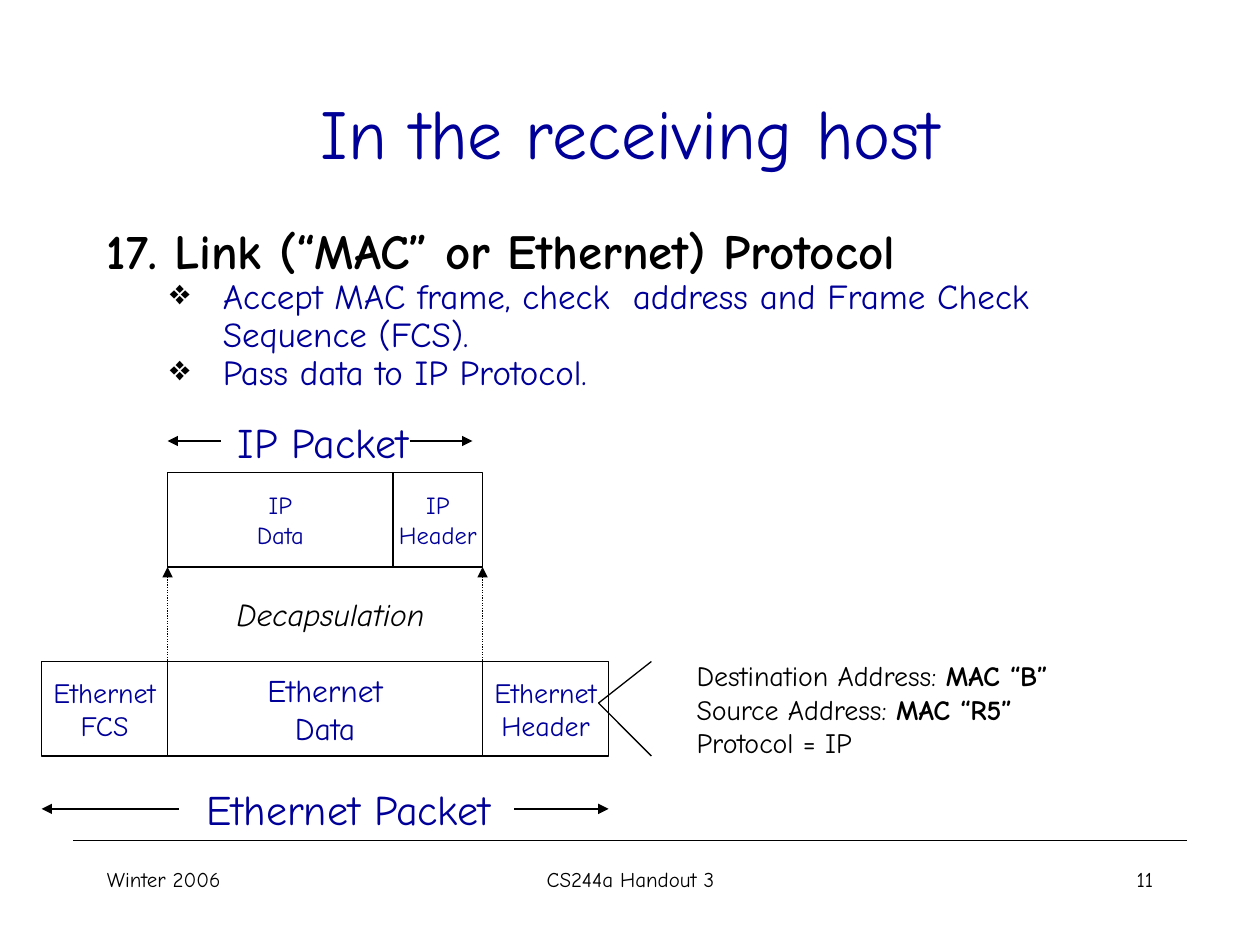
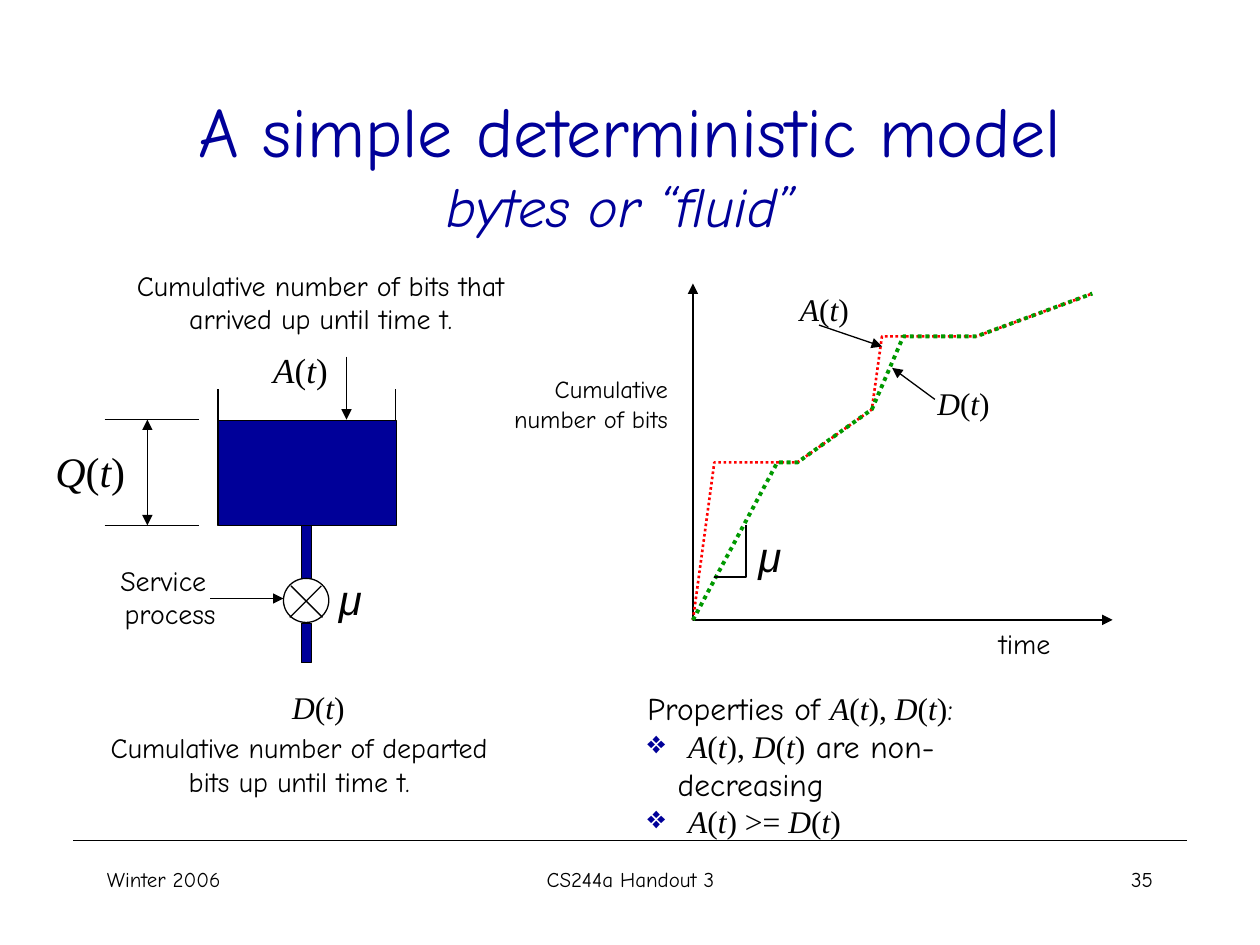
"""Builds two lecture slides: decapsulation in a host and a fluid queue model."""
from dataclasses import dataclass
from typing import NamedTuple

from lxml import etree
from pptx import Presentation
from pptx import util as u
from pptx.dml.color import RGBColor
from pptx.enum import dml, shapes, text
from pptx.oxml import ns

NAVY, BLACK, WHITE, RED, GREEN = "000099", "000000", "FFFFFF", "FF0000", "009900"
COMIC, TIMES, ARIAL = "Comic Neue", "Times New Roman", "Arial"
LEFT, CENTER, RIGHT = text.PP_ALIGN.LEFT, text.PP_ALIGN.CENTER, text.PP_ALIGN.RIGHT
THIN = 0.75


class Run(NamedTuple):
    """A piece of text with the font values that differ from its label."""
    text: str
    font: dict = {}


class Bullet(NamedTuple):
    """Bullet colour, left margin and hanging indent in inches."""
    color: str
    margin: float
    hanging: float


class Line(NamedTuple):
    """One paragraph."""
    runs: list
    bullet: Bullet | None = None


@dataclass
class Label:
    """A text box; lines are strings or Line objects."""
    area: tuple
    lines: list
    size: float
    color: str = BLACK
    font: str = COMIC
    align: text.PP_ALIGN = LEFT
    wrap: bool = False
    italic: bool = False
    spacing: float = 1.0


@dataclass
class Box:
    """A preset shape, with centred text if it has lines."""
    area: tuple
    fill: str | None = WHITE
    lines: tuple = ()
    size: float = 16
    kind: shapes.MSO_SHAPE = shapes.MSO_SHAPE.RECTANGLE


@dataclass
class Stroke:
    """A line through points: a connector for two, an open outline for more."""
    points: list
    head: bool = False
    tail: bool = False
    color: str = BLACK
    width: float = THIN
    dotted: bool = False


def color_of(value: str) -> RGBColor:
    """Turn a hex string into a colour."""
    return RGBColor.from_string(value)


def inches(values) -> list:
    """Turn numbers into lengths."""
    return [u.Inches(value) for value in values]


def set_values(target, values: dict) -> None:
    """Set each named attribute of the target."""
    for name, value in values.items():
        setattr(target, name, value)


def function_of(name: str, end: str = ")") -> list:
    """Runs for a function of t, such as A(t)."""
    return [Run(part, {"name": TIMES, "italic": slanted}) for part, slanted in
            ((name, True), ("(", False), ("t", True), (end, False))]


def add_run(paragraph, content: str, color: str, **font_values) -> None:
    """Add a formatted run."""
    run = paragraph.add_run()
    run.text = content
    run.font.color.rgb = color_of(color)
    set_values(run.font, font_values)


def add_bullet(paragraph, bullet: Bullet) -> None:
    """Give a paragraph a diamond bullet of the text size."""
    properties = paragraph._p.get_or_add_pPr()
    properties.set("marL", str(u.Inches(bullet.margin)))
    properties.set("indent", str(-u.Inches(bullet.hanging)))
    tint = etree.SubElement(properties, ns.qn("a:buClr"))
    etree.SubElement(tint, ns.qn("a:srgbClr"), val=bullet.color)
    etree.SubElement(properties, ns.qn("a:buSzPct"), val="100000")
    etree.SubElement(properties, ns.qn("a:buChar"), char="❖")


def write_lines(frame, label: Label) -> None:
    """Fill a text frame with the lines of a label."""
    for index, line in enumerate(label.lines):
        paragraph = frame.paragraphs[0] if index == 0 else frame.add_paragraph()
        if isinstance(line, str):
            line = Line([Run(line)])
        if line.bullet:
            add_bullet(paragraph, line.bullet)
        set_values(paragraph, {"alignment": label.align, "line_spacing": label.spacing})
        for run in line.runs:
            font = {"name": label.font, "size": u.Pt(label.size), "italic": label.italic}
            add_run(paragraph, run.text, label.color, **(font | run.font))


def draw_label(slide, label: Label) -> None:
    """Draw a text box."""
    frame = slide.shapes.add_textbox(*inches(label.area)).text_frame
    frame.word_wrap = label.wrap
    if not label.wrap:
        frame.auto_size = text.MSO_AUTO_SIZE.SHAPE_TO_FIT_TEXT
    write_lines(frame, label)


def draw_box(slide, box: Box) -> None:
    """Draw a preset shape with a thin black outline."""
    shape = slide.shapes.add_shape(box.kind, *inches(box.area))
    shape.shadow.inherit = False
    if box.fill:
        shape.fill.solid()
        shape.fill.fore_color.rgb = color_of(box.fill)
    else:
        shape.fill.background()
    shape.line.color.rgb = color_of(BLACK)
    shape.line.width = u.Pt(THIN)
    if box.lines:
        set_values(shape.text_frame, {"word_wrap": False,
                                      "vertical_anchor": text.MSO_ANCHOR.MIDDLE})
        write_lines(shape.text_frame,
                    Label(box.area, box.lines, box.size, NAVY, align=CENTER))


def draw_stroke(slide, stroke: Stroke) -> None:
    """Draw a connector or an open freeform with optional arrowheads."""
    points = [inches(point) for point in stroke.points]
    if len(points) == 2:
        shape = slide.shapes.add_connector(
            shapes.MSO_CONNECTOR.STRAIGHT, *points[0], *points[1])
    else:
        builder = slide.shapes.build_freeform(*points[0])
        builder.add_line_segments(points[1:], close=False)
        shape = builder.convert_to_shape()
        shape.fill.background()
    shape.line.color.rgb = color_of(stroke.color)
    shape.line.width = u.Pt(stroke.width)
    if stroke.dotted:
        shape.line.dash_style = dml.MSO_LINE.ROUND_DOT
    outline = shape.line._get_or_add_ln()
    for tag, wanted in (("a:headEnd", stroke.head), ("a:tailEnd", stroke.tail)):
        if wanted:
            etree.SubElement(outline, ns.qn(tag), type="triangle")
    etree.SubElement(shape._element.spPr, ns.qn("a:effectLst"))


DRAWERS = {Label: draw_label, Box: draw_box, Stroke: draw_stroke}


def draw_all(slide, items: list) -> None:
    """Draw labels, boxes and strokes from back to front."""
    for item in items:
        DRAWERS[type(item)](slide, item)


def add_slide(presentation, title: str, top: float, number: int, subtitle: str = ""):
    """Add a slide with its title, rule and footer."""
    slide = presentation.slides.add_slide(presentation.slide_layouts[5])
    shape = slide.shapes.title
    left, y, width, height = inches((0.75, top, 8.5, 1.25))
    set_values(shape, {"left": left, "top": y, "width": width, "height": height})
    frame = shape.text_frame
    set_values(frame, {"vertical_anchor": text.MSO_ANCHOR.MIDDLE, "word_wrap": True,
                       "auto_size": text.MSO_AUTO_SIZE.NONE})
    paragraph = frame.paragraphs[0]
    paragraph.alignment = CENTER
    add_run(paragraph, title, NAVY, name=COMIC, size=u.Pt(40))
    if subtitle:
        paragraph.add_line_break()
        add_run(paragraph, subtitle, NAVY, name=COMIC, size=u.Pt(32), italic=True)
    draw_all(slide, [
        Stroke([(0.58, 6.67), (9.42, 6.67)]),
        Label((0.75, 6.83, 2.08, 0.5), ["Winter 2006"], 12, wrap=True),
        Label((3.42, 6.83, 3.17, 0.5), ["CS244a Handout 3"], 12, align=CENTER, wrap=True),
        Label((7.17, 6.83, 2.08, 0.5), [str(number)], 12, align=RIGHT, wrap=True),
    ])
    return slide


def build_receiving_host(presentation) -> None:
    """Show how the Ethernet frame is unpacked."""
    slide = add_slide(presentation, "In the receiving host", 0.42, 11)
    step = Bullet(BLACK, 0.92, 0.42)
    blue = {"size": u.Pt(20)}
    heading = Run("17. Link (“MAC” or Ethernet) Protocol", {"bold": True})
    draw_all(slide, [
        Label((0.75, 1.75, 8.5, 0.5), [Line([heading])], 28, wrap=True, spacing=0.9),
        Label((0.75, 2.17, 8.5, 1.1), [
            Line([Run("Accept MAC frame, check  address and Frame Check Sequence (FCS).",
                      blue)], step),
            Line([Run("Pass data to IP Protocol.", blue)], step),
        ], 20, NAVY, wrap=True, spacing=0.9),
    ])
    ip_top, frame_top, height = 3.75, 5.25, 0.75
    for left, top, width, words, size in (
            (1.33, frame_top, 2.5, ("Ethernet", "Data"), 18),
            (0.33, frame_top, 1, ("Ethernet", "FCS"), 16),
            (3.83, frame_top, 1, ("Ethernet", "Header"), 16),
            (1.33, ip_top, 1.79, ("IP", "Data"), 14),
            (3.12, ip_top, 0.71, ("IP", "Header"), 14)):
        draw_box(slide, Box((left, top, width, height), lines=words, size=size))
    for start, end, y in ((3.25, 3.75, 3.5), (1.75, 1.33, 3.5),
                          (4.08, 4.83, 6.42), (1.42, 0.33, 6.42)):
        draw_stroke(slide, Stroke([(start, y), (end, y)], tail=True))
    for x in (1.33, 3.83):
        draw_stroke(slide, Stroke([(x, ip_top + height), (x, frame_top)],
                                  head=True, dotted=True))
    for y in (frame_top, frame_top + height):
        draw_stroke(slide, Stroke([(4.75, 5.58), (5.17, y)]))
    bold = {"bold": True}
    draw_all(slide, [
        Label((1.79, 3.26, 1.57, 0.5), ["IP Packet"], 24, NAVY),
        Label((1.54, 6.17, 2.47, 0.5), ["Ethernet Packet"], 24, NAVY),
        Label((1.78, 4.67, 1.69, 0.4), ["Decapsulation"], 18, italic=True),
        Label((5.43, 5.18, 2.99, 0.9), [
            Line([Run("Destination Address: "), Run("MAC “B”", bold)]),
            Line([Run("Source Address: "), Run("MAC “R5”", bold)]),
            "Protocol = IP",
        ], 16),
    ])


def build_fluid_model(presentation) -> None:
    """Show the queue as a tank, beside its arrival and departure curves."""
    slide = add_slide(presentation, "A simple deterministic model", 0.67, 35,
                      "bytes or “fluid” ")
    tank_left, tank_right, level, floor = 1.73, 3.14, 3.34, 4.17
    draw_all(slide, [Stroke([(x, 3.09), (x, floor)]) for x in (tank_left, tank_right)])
    draw_all(slide, [
        Box((tank_left, level, 1.42, 0.83), NAVY),
        Box((2.39, floor, 0.08, 0.42), NAVY),
        Box((2.25, 4.59, 0.36, 0.35), None, kind=shapes.MSO_SHAPE.OVAL),
        Stroke([(2.31, 4.65), (2.56, 4.9)]),
        Stroke([(2.55, 4.65), (2.3, 4.9)]),
        Box((2.39, 4.95, 0.08, 0.31), NAVY),
        Stroke([(2.75, 2.83), (2.75, 3.33)], tail=True),
        Stroke([(1.67, 4.75), (2.25, 4.75)], tail=True),
        Stroke([(0.83, floor), (1.58, floor)]),
        Stroke([(0.83, 3.33), (1.58, 3.33)]),
        Stroke([(1.17, 3.33), (1.17, floor)], head=True, tail=True),
    ])
    origin, shared_end = (5.5, 4.92), [(7.75, 2.67), (8.67, 2.33)]
    shared_middle = [(6.33, 3.67), (6.92, 3.25)]
    arrivals = [origin, (5.67, 3.67), *shared_middle, (7, 2.67), *shared_end]
    departures = [origin, (6.17, 3.67), *shared_middle, (7.17, 2.67), *shared_end]
    draw_all(slide, [
        Stroke([(5.5, 2.25), origin, (8.83, 4.92)], True, True, width=1.5),
        Stroke(arrivals, color=RED, width=1.5, dotted=True),
        Stroke(departures, color=GREEN, width=2.25, dotted=True),
        Stroke([(5.67, 4.58), (5.92, 4.58), (5.92, 4.17)]),
        Stroke([(7.42, 3.17), (7.08, 2.92)], tail=True),
        Stroke([(6.5, 2.58), (7, 2.75)], tail=True),
    ])
    for left, top, name, size in ((2.07, 2.72, "A", 20), (2.22, 5.41, "D", 18),
                                  (6.25, 2.25, "A", 18), (7.34, 3, "D", 18),
                                  (0.34, 3.49, "Q", 24)):
        draw_label(slide, Label((left, top, 0.95, 0.4), [Line(function_of(name))], size))
    for left, top in ((5.92, 4.16), (2.59, 4.5)):
        draw_label(slide, Label((left, top, 0.39, 0.5), ["μ"], 24, font=ARIAL, italic=True))
    point, space = Bullet(NAVY, 0.24, 0.24), Run(" ")
    both = function_of("A", "), ") + function_of("D")
    draw_all(slide, [
        Label((0.92, 2.08, 3.25, 0.64),
              ["Cumulative number of bits that arrived up until time t."],
              16, align=CENTER, wrap=True),
        Label((0.75, 5.75, 3.25, 0.64),
              ["Cumulative number of departed bits up until time t."],
              16, align=CENTER, wrap=True),
        Label((7.83, 4.92, 0.67, 0.37), ["time"], 16),
        Label((0.75, 4.42, 1.06, 0.64), ["Service ", "process"], 16, align=RIGHT, wrap=True),
        Label((3.98, 2.92, 1.42, 0.57), ["Cumulative", "number of bits"], 14, align=RIGHT),
        Label((5.04, 5.42, 3.5, 1), [
            Line([Run("Properties of "), *both, Run(":")]),
            Line([space, *both, Run(" are non-decreasing")], point),
            Line([space, *function_of("A", ") >= "), *function_of("D")], point),
        ], 18, wrap=True),
    ])


def main() -> None:
    """Build and save the presentation."""
    presentation = Presentation()
    set_values(presentation, {"slide_width": u.Inches(10), "slide_height": u.Inches(7.5)})
    build_receiving_host(presentation)
    build_fluid_model(presentation)
    presentation.save("out.pptx")


if __name__ == "__main__":
    main()
